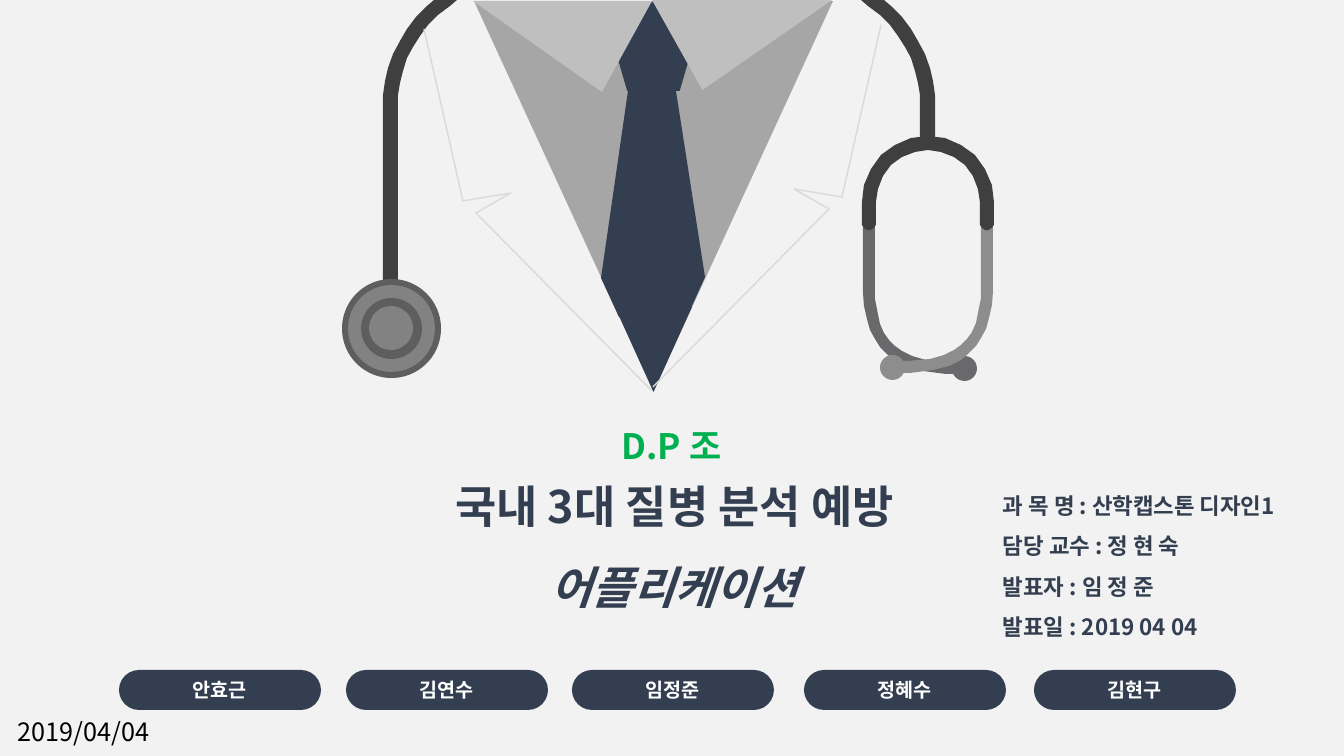
"""Build the title slide of a health app talk, with a doctor's coat and stethoscope."""
import math

import lxml.etree
import pptx
import pptx.dml.color
import pptx.enum.shapes
import pptx.enum.text
import pptx.oxml.ns
import pptx.util

PX = 914400 / 100.8
FONT = "Noto Sans CJK KR"
COLORS = {
    "page": "F2F2F2", "navy": "333F50", "shirt": "A6A6A6", "collar": "BFBFBF",
    "tube": "3F3F3F", "rim": "5E5E5E", "disc": "828282", "back": "69696B",
    "front": "8D8D8E", "seam": "D9D9D9", "green": "00B050", "white": "FFFFFF",
    "black": "000000",
}
SHAPE = pptx.enum.shapes.MSO_SHAPE
ALIGN = pptx.enum.text.PP_ALIGN
RGB = {name: pptx.dml.color.RGBColor.from_string(code) for name, code in COLORS.items()}

deck = pptx.Presentation()
deck.slide_width = round(1344 * PX)
deck.slide_height = round(756 * PX)
page = deck.slides.add_slide(deck.slide_layouts[6])
page.background.fill.solid()
page.background.fill.fore_color.rgb = RGB["page"]


def draw(kind, geometry, color):
    """Add a filled preset shape, or a filled outline when kind is None."""
    if kind is None:
        pen = page.shapes.build_freeform(*geometry[0], scale=PX)
        pen.add_line_segments(geometry[1:], close=True)
        shape = pen.convert_to_shape()
    else:
        shape = page.shapes.add_shape(kind, *[round(length * PX) for length in geometry])
    shape.shadow.inherit = False
    shape.fill.solid()
    shape.fill.fore_color.rgb = RGB[color]
    shape.line.fill.background()
    return shape


def write(box, lines, size, color, bold=True, align=ALIGN.CENTER, spacing=1.0):
    """Fill a box with one paragraph per line."""
    frame = box.text_frame
    frame.word_wrap = True
    frame.text = "\n".join(lines)
    for para in frame.paragraphs:
        para.alignment = align
        para.line_spacing = spacing
        para.font.size = pptx.util.Pt(size)
        para.font.bold = bold
        para.font.name = FONT
        para.font.color.rgb = RGB[color]
        latin = para.font._element.find(pptx.oxml.ns.qn("a:latin")) if hasattr(para.font, "_element") else para.font._rPr.find(pptx.oxml.ns.qn("a:latin"))
        east_asian = lxml.etree.Element(pptx.oxml.ns.qn("a:ea"), typeface=FONT)
        latin.addnext(east_asian)


shirt = draw(SHAPE.ISOSCELES_TRIANGLE, (474, 1, 359, 390), "shirt")
shirt.rotation = 180
draw(SHAPE.REGULAR_PENTAGON, (611, 1, 85, 90), "navy")
draw(None, [(628, 91), (676, 91), (705, 277), (687, 317), (619, 317), (601, 278)], "navy")

for geometry, apex in [((473, 1, 179, 91), 0.28), ((652, 0, 180, 90), 0.72)]:
    collar = draw(SHAPE.ISOSCELES_TRIANGLE, geometry, "collar")
    collar.adjustments[0] = apex
    collar.rotation = 180
tie_tip = draw(SHAPE.ISOSCELES_TRIANGLE, (615, 307, 77, 85), "navy")
tie_tip.rotation = 180

inner_bend = [(457, 0), (450, 6), (438, 15), (428, 25), (420, 36), (413, 47),
              (407, 58), (403, 71), (400, 83), (398, 95)]
outer_bend = [(383, 95), (385, 81), (388, 68), (393, 54), (400, 41), (407, 29),
              (416, 17), (427, 6), (434, 0)]
for mirrored, bottom in [(False, 354), (True, 148)]:
    tube = inner_bend + [(398, bottom), (383, bottom)] + outer_bend
    draw(None, [(1318 - x if mirrored else x, y) for x, y in tube], "tube")

for diameter, color in [(99, "rim"), (87, "disc"), (61, "rim"), (44, "disc")]:
    half = diameter // 2
    draw(SHAPE.OVAL, (391 - half, 328 - half, diameter, diameter), color)

ear_tube = [
    (964, 374), (946, 374), (923, 371), (907, 367), (895, 361), (888, 355), (880, 347),
    (875, 339), (870, 330), (867, 319), (864, 306), (863, 293), (863, 223), (875, 223),
    (875, 299), (878, 314), (880, 324), (884, 333), (889, 340), (895, 346), (902, 351),
    (912, 356), (926, 360), (949, 362), (964, 362),
]
draw(None, ear_tube, "back")
draw(SHAPE.OVAL, (952, 356, 25, 25), "back")
draw(None, [(1856 - x, y - 1) for x, y in ear_tube], "front")
draw(SHAPE.OVAL, (880, 355, 25, 25), "front")

yoke = []
for center_x, center_y, radius, start, sweep in [
    (928, 202, 66, 180, 180), (987, 223, 7, 0, 180),
    (928, 202, 52, 360, -180), (869, 223, 7, 0, 180),
]:
    for step in range(13):
        angle = math.radians(start + sweep * step / 12)
        yoke.append((round(center_x + radius * math.cos(angle), 2),
                     round(center_y + radius * math.sin(angle), 2)))
draw(None, yoke, "tube")

lapel = [(424, 29), (463, 201), (511, 193), (476, 213), (652, 391)]
for points in [lapel, [(1305 - x, y - 4) for x, y in lapel]]:
    pen = page.shapes.build_freeform(*points[0], scale=PX)
    pen.add_line_segments(points[1:], close=False)
    seam = pen.convert_to_shape()
    seam.shadow.inherit = False
    seam.fill.background()
    seam.line.color.rgb = RGB["seam"]
    seam.line.width = pptx.util.Pt(1)

for left, member in [(119, "안효근"), (346, "김연수"), (572, "임정준"),
                     (804, "정혜수"), (1034, "김현구")]:
    pill = draw(SHAPE.ROUNDED_RECTANGLE, (left, 670, 202, 40), "navy")
    pill.adjustments[0] = 0.5
    pill.text_frame.vertical_anchor = pptx.enum.text.MSO_ANCHOR.MIDDLE
    write(pill, [member], 14, "white")

title = ["국내 3대 질병 분석 예방", "어플리케이션"]
details = ["과 목 명 : 산학캡스톤 디자인1", "담당 교수 : 정 현 숙",
           "발표자 : 임 정 준", "발표일 : 2019 04 04"]
for geometry, lines, size, color, bold, align, spacing in [
    ((337, 447, 675, 237), title, 32, "navy", True, ALIGN.CENTER, 1.5),
    ((579, 399, 185, 66), ["D.P 조"], 25, "green", True, ALIGN.CENTER, 1.5),
    ((993, 474, 343, 237), details, 16, "navy", True, ALIGN.LEFT, 1.5),
    ((8, 711, 195, 40), ["2019/04/04"], 18, "black", False, ALIGN.LEFT, 1.0),
]:
    box = page.shapes.add_textbox(*[round(length * PX) for length in geometry])
    write(box, lines, size, color, bold, align, spacing)
    if lines is title:
        box.text_frame.paragraphs[1].font.italic = True

deck.save("out.pptx")
